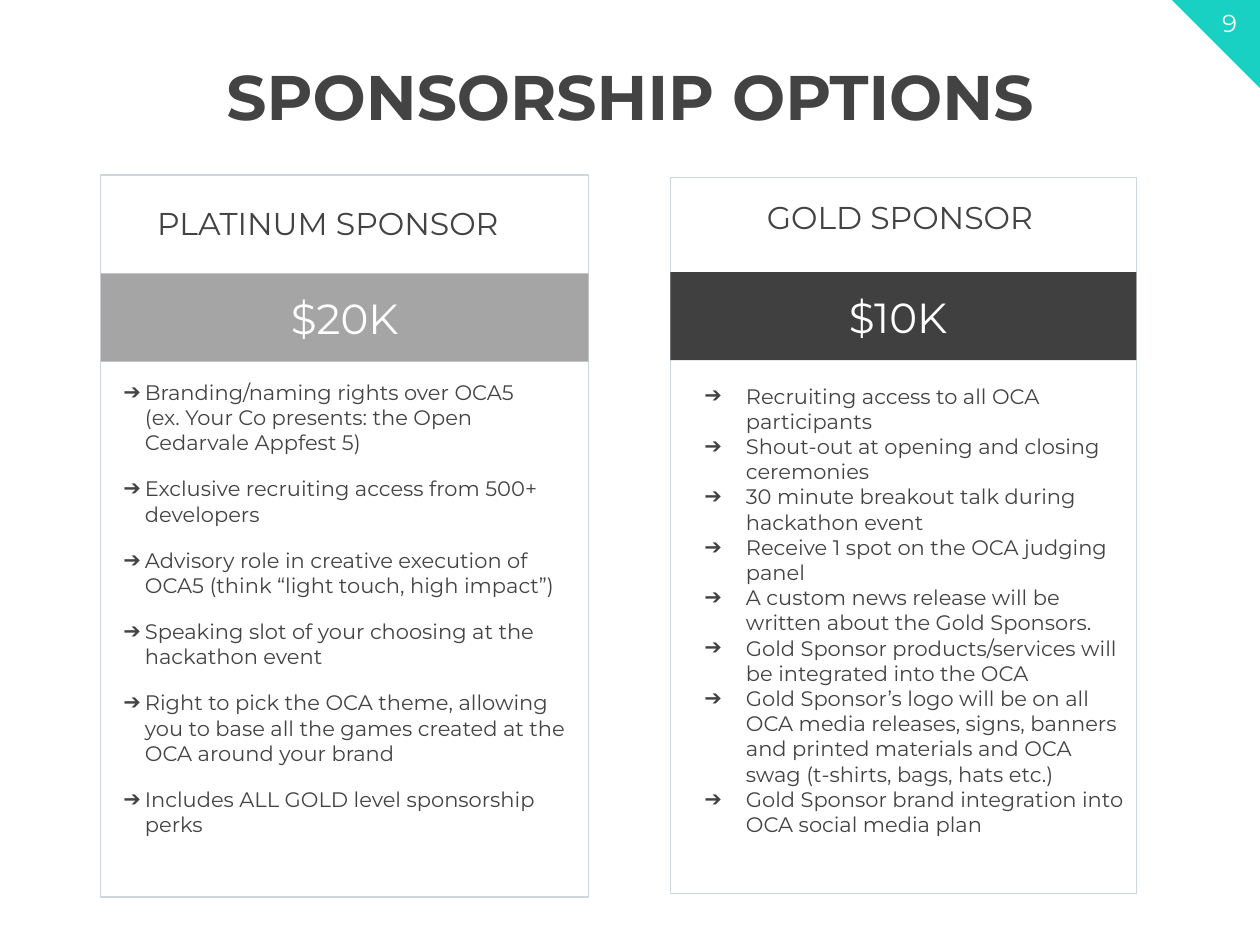
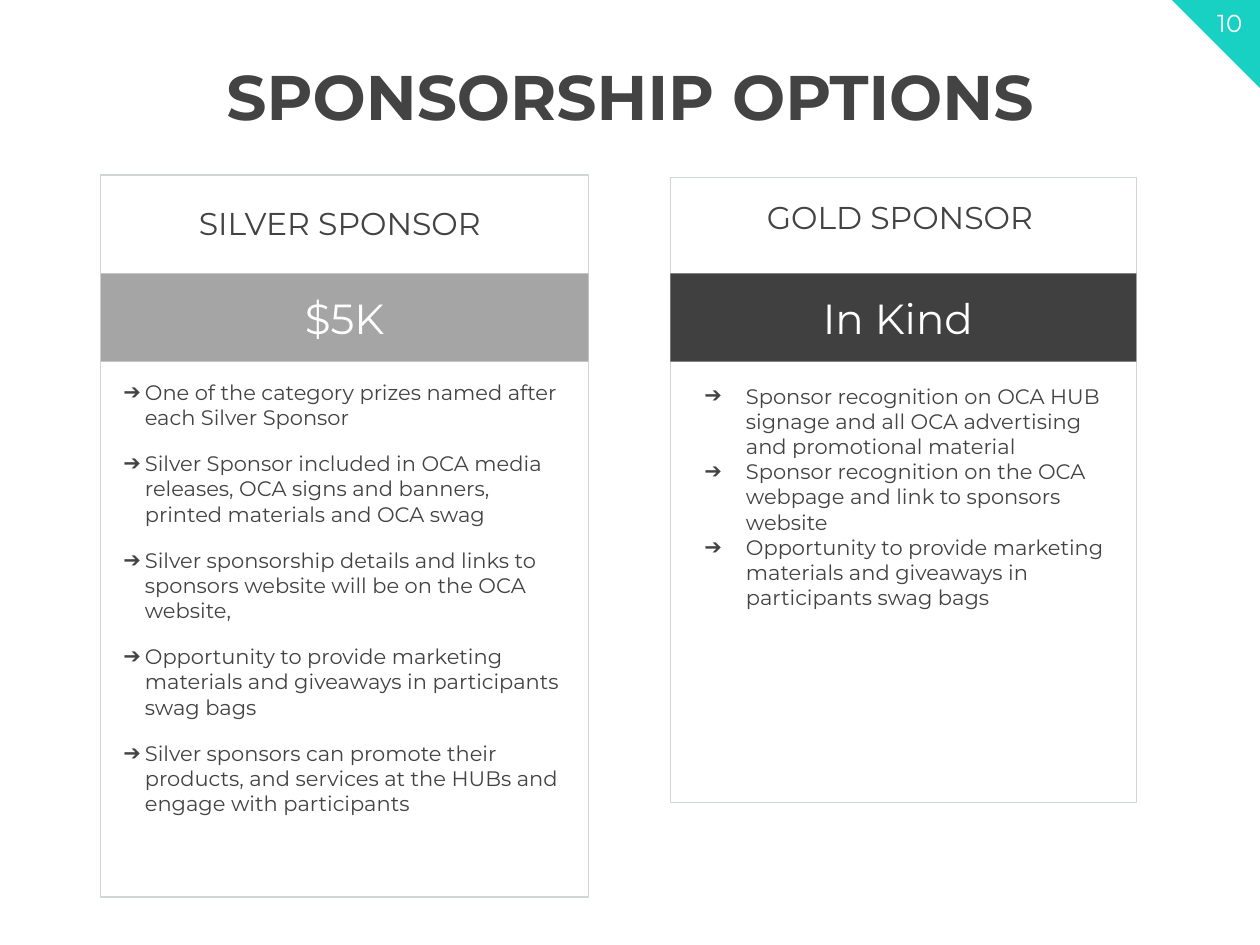
from lxml.etree import SubElement
from pptx import Presentation
from pptx.dml.color import RGBColor
from pptx.enum.shapes import MSO_SHAPE
from pptx.enum.text import MSO_ANCHOR, MSO_AUTO_SIZE, PP_ALIGN
from pptx.oxml.ns import qn
from pptx.util import Pt

PX = 9144  # 100 px to the inch
FONT = "Montserrat"
INK, WHITE, OUTLINE, ACCENT = "434343", "FFFFFF", "CFD6DC", "19D1C3"

# Each column: card left, top and width, band colour, heading top and height,
# list left and top, text indent, hanging indent, space after each item (pt).
COLUMNS = [
    (80, 139, 387, "A5A5A5", 157, 50, 86, 296, 19, 17, 12),
    (532, 141, 370, "404040", 152, 40, 532, 299, 50, 33, 0),
]
# Each slide: its number, then for each column the heading with its left and width,
# the price with its band top, the card height, the list width and the list.
SLIDES = [
    (9, [
        ("PLATINUM SPONSOR ", 94, 339, "$20K", 217, 573, 374, [
            "Branding/naming rights over OCA5\v(ex. Your Co presents: the Open Cedarvale Appfest 5)",
            "Exclusive recruiting access from 500+ developers",
            "Advisory role in creative execution of OCA5 (think “light touch, high impact”)",
            "Speaking slot of your choosing at the hackathon event",
            "Right to pick the OCA theme, allowing you to base all the games created at the "
            "OCA around your brand",
            "Includes ALL GOLD level sponsorship perks",
        ]),
        ("GOLD SPONSOR ", 568, 299, "$10K ", 216, 568, 370, [
            "Recruiting access to all OCA participants",
            "Shout-out at opening and closing ceremonies",
            "30 minute breakout talk during hackathon event",
            "Receive 1 spot on the OCA judging panel",
            "A custom news release will be written about the Gold Sponsors.",
            "Gold Sponsor products/services will be integrated into the OCA",
            "Gold Sponsor’s logo will be on all OCA media releases, signs, banners and printed "
            "materials and OCA swag (t-shirts, bags, hats etc.)",
            "Gold Sponsor brand integration into OCA social media plan",
        ]),
    ]),
    (10, [
        ("SILVER SPONSOR ", 147, 252, "$5K", 217, 573, 374, [
            "One of the category prizes named after each Silver Sponsor",
            "Silver Sponsor included in OCA media releases, OCA signs and banners, "
            "printed materials and OCA swag",
            "Silver sponsorship details and links to sponsors website will be on the OCA website,",
            "Opportunity to provide marketing materials and giveaways in participants swag bags",
            "Silver sponsors can promote their products, and services at the HUBs and "
            "engage with participants",
        ]),
        ("GOLD SPONSOR ", 568, 299, "In Kind ", 217, 496, 355, [
            "Sponsor recognition on OCA HUB signage and all OCA advertising and "
            "promotional material",
            "Sponsor recognition on the OCA webpage and link to sponsors website",
            "Opportunity to provide marketing materials and giveaways in participants swag bags",
        ]),
    ]),
]


def add_block(shapes, preset, place, fill, line=None):
    block = shapes.add_shape(preset, *[length * PX for length in place])
    block.shadow.inherit = False
    block.fill.solid()
    block.fill.fore_color.rgb = RGBColor.from_string(fill)
    if line:
        block.line.color.rgb = RGBColor.from_string(line)
        block.line.width = Pt(0.75)
    else:
        block.line.fill.background()
    return block


def write(box, lines, size, color, align=PP_ALIGN.CENTER, anchor=MSO_ANCHOR.MIDDLE,
          place=None, bold=False, bullet=None, after=0):
    """Fill a box with paragraphs; bullet is (text indent, hanging indent) in px."""
    if place:
        box.left, box.top, box.width, box.height = [length * PX for length in place]
    frame = box.text_frame
    frame.text = "\n".join(lines)
    frame.word_wrap = True
    frame.auto_size = MSO_AUTO_SIZE.NONE
    frame.vertical_anchor = anchor
    for para in frame.paragraphs:
        para.alignment = align
        para.space_before = Pt(0)
        para.space_after = Pt(after)
        if bullet:
            props = para._p.get_or_add_pPr()
            props.set("marL", str(bullet[0] * PX))
            props.set("indent", str(-bullet[1] * PX))
            tint = SubElement(props, qn("a:buClr"))
            SubElement(tint, qn("a:srgbClr")).set("val", INK)
            SubElement(props, qn("a:buChar")).set("char", "➔")
        para.font.name = FONT
        para.font.size = Pt(size)
        para.font.bold = bold
        para.font.color.rgb = RGBColor.from_string(color)


deck = Presentation()
deck.slide_width, deck.slide_height = 1000 * PX, 750 * PX
two_content = deck.slide_layouts[3]

for number, cards in SLIDES:
    page = deck.slides.add_slide(two_content)
    title, *lists = page.placeholders
    write(title, ["SPONSORSHIP OPTIONS"], 36, INK, place=(50, 30, 900, 92), bold=True)

    for column, card, body in zip(COLUMNS, cards, lists):
        (left, top, width, band_color, heading_top, heading_height,
         list_left, list_top, indent, hanging, after) = column
        heading, heading_left, heading_width, price, band_top, height, list_width, perks = card

        group = page.shapes.add_group_shape()
        add_block(group.shapes, MSO_SHAPE.RECTANGLE, (left, top, width, height), WHITE, OUTLINE)
        band = add_block(group.shapes, MSO_SHAPE.RECTANGLE, (left, band_top, width, 70), band_color)
        write(band, [price], 24, WHITE)
        heading_box = group.shapes.add_textbox(0, 0, PX, PX)
        write(heading_box, [heading], 18, INK, anchor=MSO_ANCHOR.TOP,
              place=(heading_left, heading_top, heading_width, heading_height))

        list_height = top + height - list_top
        write(body, perks, 12, INK, PP_ALIGN.LEFT, MSO_ANCHOR.TOP,
              (list_left, list_top, list_width, list_height),
              bullet=(indent, hanging), after=after)
        # Bring the list in front of its card.
        page.shapes._spTree.append(body._element)

    corner = add_block(page.shapes, MSO_SHAPE.RIGHT_TRIANGLE, (930, 0, 70, 70), ACCENT)
    corner.rotation = 180
    number_box = page.shapes.add_textbox(0, 0, PX, PX)
    write(number_box, [str(number)], 14, WHITE, place=(944, 1, 64, 34))

    # Group extents were fixed before the headings moved into place.
    for group in page.shapes:
        if hasattr(group, "shapes"):
            group._element.recalculate_extents()

deck.save("out.pptx")
